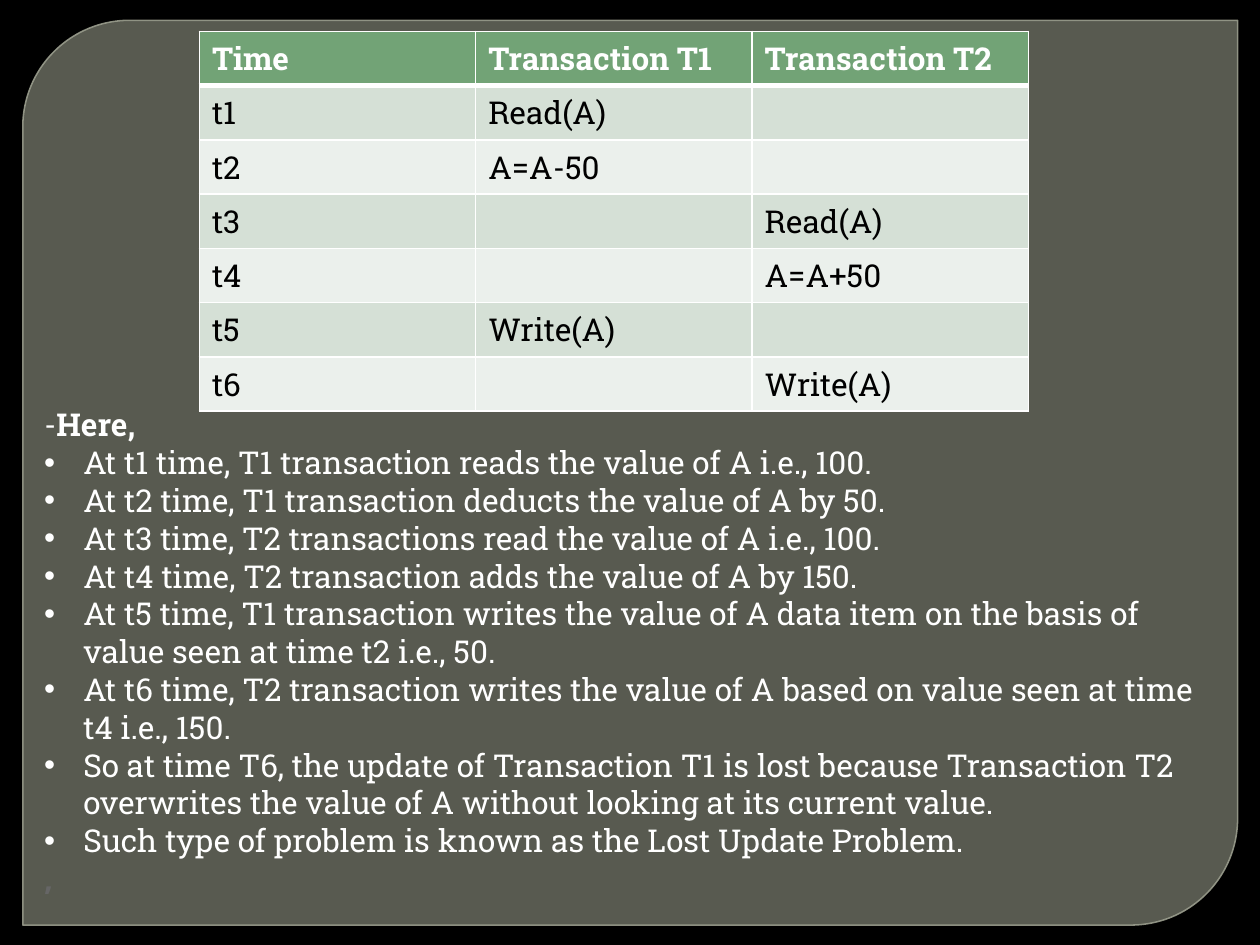
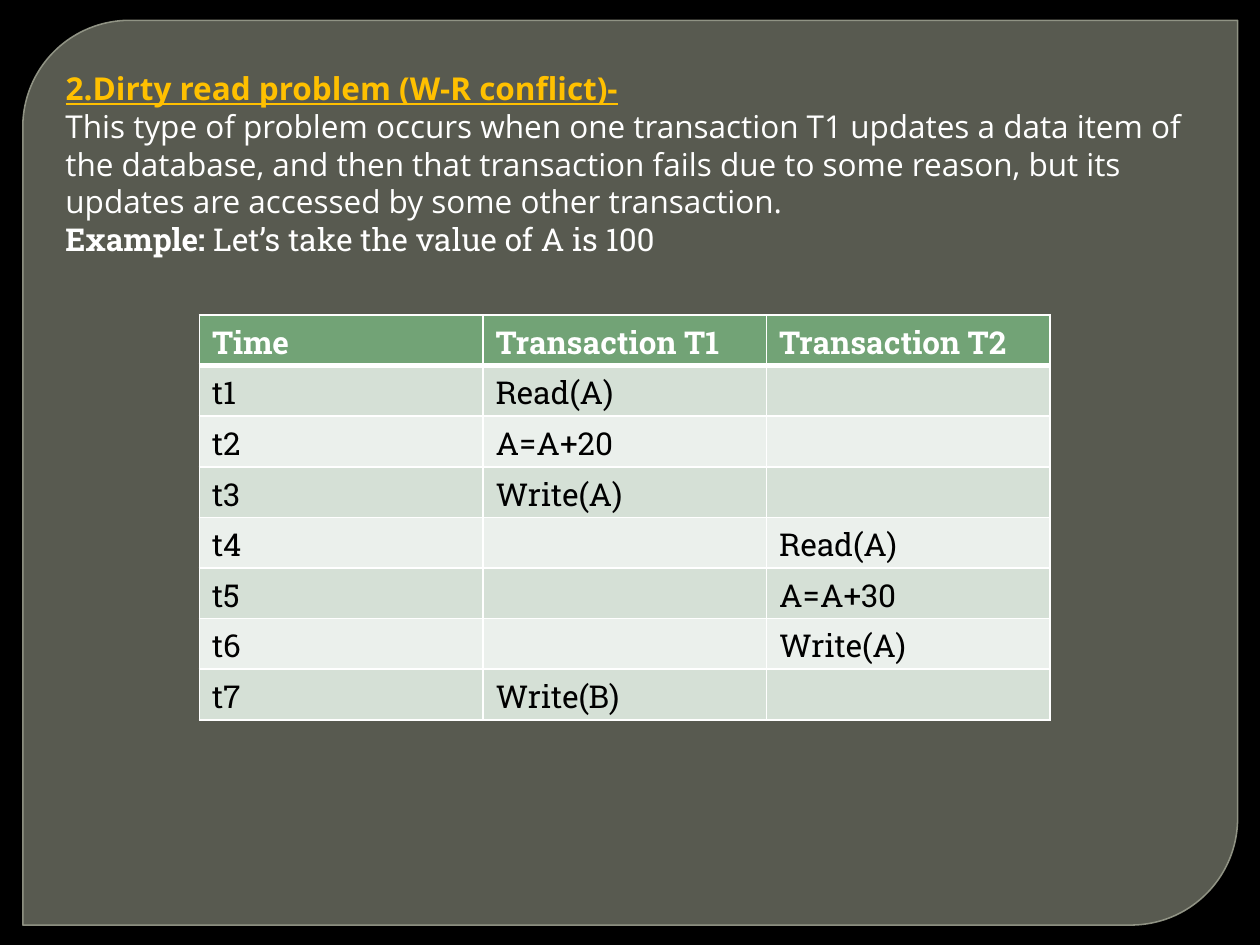
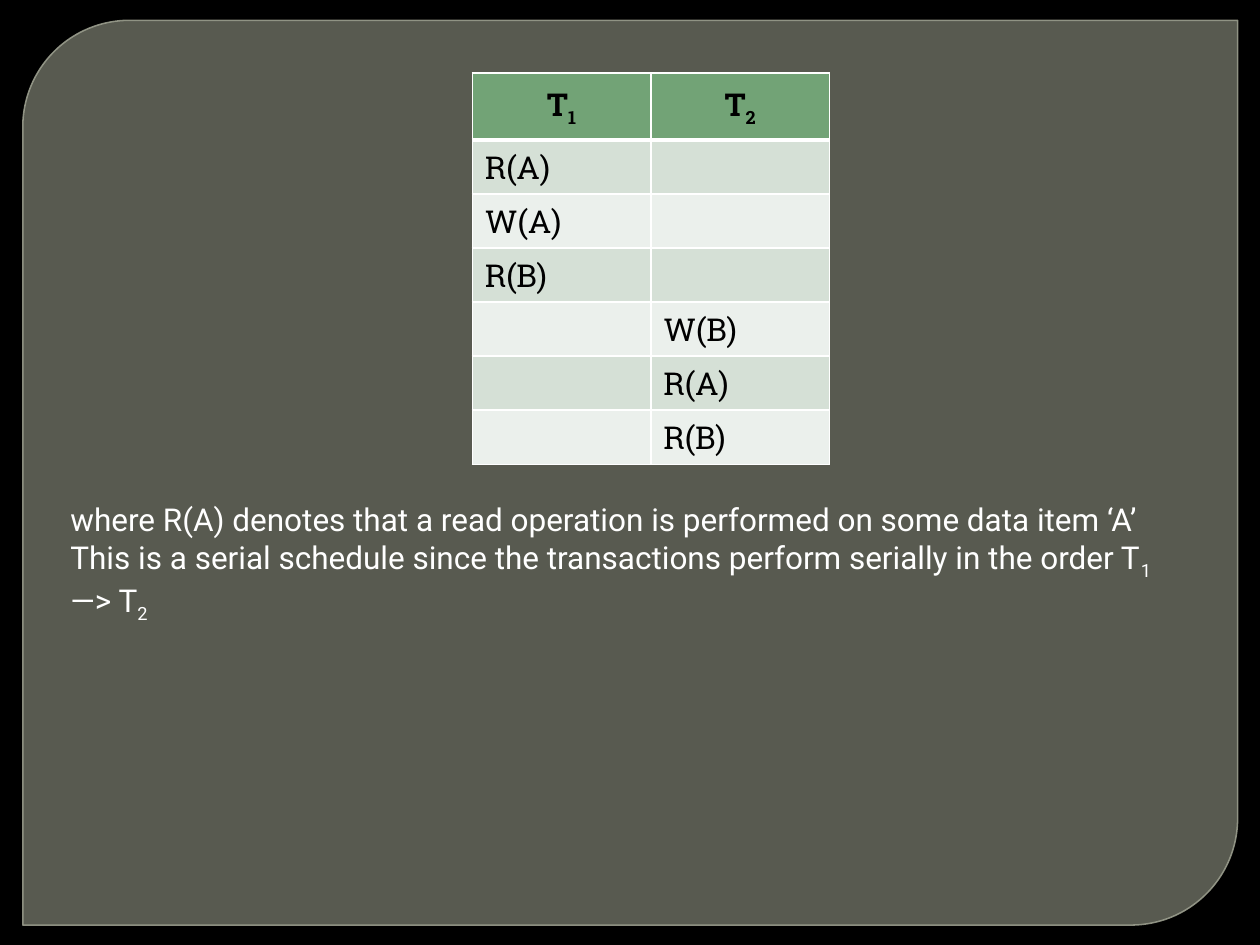
from dataclasses import dataclass

from lxml.etree import SubElement
from pptx import Presentation
from pptx.dml.color import RGBColor
from pptx.enum.shapes import MSO_SHAPE
from pptx.enum.text import MSO_ANCHOR, MSO_AUTO_SIZE, PP_ALIGN
from pptx.oxml import parse_xml
from pptx.oxml.ns import nsdecls, qn
from pptx.util import Cm, Pt


@dataclass(frozen=True)
class Theme:
    back: str = "000000"
    panel: str = "888B7B"
    edge: str = "9DA090"
    head: str = "72A376"
    bands: tuple = ("D5E0D6", "EBF0EC")
    light: str = "FFFFFF"
    dark: str = "000000"
    gold: str = "FFC000"
    gray: str = "666666"
    slab: str = "Roboto Slab"
    sans: str = "Open Sans"
    plain: str = "Roboto"
    size: float = 18
    thin: float = 1
    thick: float = 3


BREAK = object()
SUB = {"base": -25}
BOLD = {"bold": True}


class Deck:
    def __init__(self, theme):
        self.theme = theme
        self.show = Presentation()
        self.show.slide_width, self.show.slide_height = Cm(25.4), Cm(19.05)
        self.slide = None
        fill = self.show.slide_master.background.fill
        fill.solid()
        fill.fore_color.rgb = RGBColor.from_string(theme.back)

    def page(self, titled=False):
        layout = self.show.slide_layouts[5 if titled else 6]
        self.slide = self.show.slides.add_slide(layout)

    def panel(self):
        theme = self.theme
        panel = self.slide.shapes.add_shape(
            MSO_SHAPE.ROUND_2_DIAG_RECTANGLE, Cm(0.46), Cm(0.41), Cm(24.49), Cm(18.24))
        panel.adjustments[0], panel.adjustments[1] = 0.118, 0
        panel.shadow.inherit = False
        panel.fill.solid()
        panel.line.width = Pt(0.87)
        panel.line.fill.solid()
        paints = (panel.fill, theme.panel, 65), (panel.line.fill, theme.edge, 88)
        for fill, tone, alpha in paints:
            fill.fore_color.rgb = RGBColor.from_string(tone)
        for tint, (_, _, alpha) in zip(panel.element.spPr.iter(qn("a:srgbClr")), paints):
            SubElement(tint, qn("a:alpha"), val=str(alpha * 1000))
        self.slide.slide_layout.slide_master.shapes.element.insert(2, panel.element)

    def run(self, para, text, font=None, tone=None, bold=False, under=False, base=0):
        if text is BREAK:
            para.add_line_break()
            return
        run = para.add_run()
        run.text = text
        face = run.font
        face.name = font or self.theme.slab
        face.size = Pt(self.theme.size)
        face.color.rgb = RGBColor.from_string(tone or self.theme.light)
        face.bold, face.underline = bold, under
        if base:
            run._r.get_or_add_rPr().set("baseline", str(base * 1000))

    def fill(self, para, runs, **style):
        for text, extra in runs:
            self.run(para, text, **{**style, **extra})

    def bullet(self, para):
        props = para._p.get_or_add_pPr()
        props.set("marL", str(Cm(0.79)))
        props.set("indent", str(-Cm(0.79)))
        SubElement(props, qn("a:buFont"), typeface="Arial")
        SubElement(props, qn("a:buChar"), char="•")

    def title(self, text, left, top, width, height):
        title = self.slide.shapes.title
        title.left, title.top, title.width, title.height = map(Cm, (left, top, width, height))
        frame = title.text_frame
        frame.vertical_anchor = MSO_ANCHOR.TOP
        frame.auto_size = MSO_AUTO_SIZE.NONE
        para = frame.paragraphs[0]
        para.alignment = PP_ALIGN.LEFT
        self.run(para, text, self.theme.sans, self.theme.gold, bold=True, under=True)

    def text(self, paras, left, top, width, height, **style):
        frame = self.slide.shapes.add_textbox(*map(Cm, (left, top, width, height))).text_frame
        frame.word_wrap = True
        frame.auto_size = MSO_AUTO_SIZE.SHAPE_TO_FIT_TEXT
        for place, item in enumerate(paras):
            para = frame.add_paragraph() if place else frame.paragraphs[0]
            if isinstance(item, str):
                self.bullet(para)
                item = [(item, {})]
            self.fill(para, item, **style)

    def borders(self, cell, row):
        props = cell._tc.get_or_add_tcPr()
        thick = {0: "B", 1: "T"}.get(row)
        for place, side in enumerate("LRTB"):
            width = Pt(self.theme.thick if side == thick else self.theme.thin)
            props.insert(place, parse_xml(
                f'<a:ln{side} {nsdecls("a")} w="{width}"><a:solidFill>'
                f'<a:srgbClr val="{self.theme.light}"/></a:solidFill></a:ln{side}>'))

    def table(self, head, body, left, top, width, high, first=None, inset=None, **style):
        rows = [head] + [[[(text, {})] if text else [] for text in line] for line in body]
        count = len(head)
        first = first or high
        grid = self.slide.shapes.add_table(
            len(rows), count, Cm(left), Cm(top), Cm(width), Cm(first + high * len(body))).table
        for column in grid.columns:
            column.width = Cm(width / count)
        for row, line in enumerate(rows):
            grid.rows[row].height = Cm(high if row else first)
            look = {"tone": self.theme.dark} if row else {"bold": True, **style}
            for spot, runs in enumerate(line):
                cell = grid.cell(row, spot)
                cell.vertical_anchor = MSO_ANCHOR.MIDDLE
                cell.fill.solid()
                tone = self.theme.bands[(row - 1) % 2] if row else self.theme.head
                cell.fill.fore_color.rgb = RGBColor.from_string(tone)
                self.borders(cell, row)
                para = cell.text_frame.paragraphs[0]
                if inset and not row:
                    cell.margin_left = cell.margin_right = Cm(inset)
                    cell.margin_top = cell.margin_bottom = Cm(inset)
                    para.alignment = PP_ALIGN.CENTER
                self.fill(para, runs, **look)


def times(steps):
    return [(f"t{step}", *pair) for step, pair in enumerate(steps, 1)]


def main():
    theme = Theme()
    deck = Deck(theme)
    heads = [[(text, {})] for text in ("Time", "Transaction T1", "Transaction T2")]

    deck.page()
    deck.panel()
    deck.table(heads, times([
        ("Read(A)", ""),
        ("A=A-50", ""),
        ("", "Read(A)"),
        ("", "A=A+50"),
        ("Write(A)", ""),
        ("", "Write(A)"),
    ]), 4.02, 0.63, 16.71, 1.09)
    deck.text([
        [("-", {}), ("Here,", BOLD)],
        "At t1 time, T1 transaction reads the value of A i.e., 100.",
        "At t2 time, T1 transaction deducts the value of A by 50.",
        "At t3 time, T2 transactions read the value of A i.e., 100.",
        "At t4 time, T2 transaction adds the value of A by 150.",
        "At t5 time, T1 transaction writes the value of A data item on the basis of "
        "value seen at time t2 i.e., 50.",
        "At t6 time, T2 transaction writes the value of A based on value seen at time "
        "t4 i.e., 150.",
        "So at time T6, the update of Transaction T1 is lost because Transaction T2 "
        "overwrites the value of A without looking at its current value.",
        "Such type of problem is known as the Lost Update Problem.",
        [(",", {"font": theme.sans, "tone": theme.gray, "bold": True})],
    ], 0.64, 8.05, 23.93, 10.26)

    deck.page(titled=True)
    deck.title("2.Dirty read problem (W-R conflict)-", 1.07, 1.27, 23.06, 1.02)
    deck.text([
        [("This type of problem occurs when one transaction T1 updates a data item of "
          "the database, and then that transaction fails due to some reason, but its "
          "updates are accessed by some other transaction.", {"font": theme.sans})],
        [("Example:", BOLD), (" Let’s take the value of A is 100", {})],
    ], 1.07, 2.03, 23.06, 3.3)
    deck.table(heads, times([
        ("Read(A)", ""),
        ("A=A+20", ""),
        ("Write(A)", ""),
        ("", "Read(A)"),
        ("", "A=A+30"),
        ("", "Write(A)"),
        ("Write(B)", ""),
    ]), 4.02, 6.35, 17.15, 1.02)

    deck.page()
    deck.table([[("T", {}), (mark, SUB)] for mark in "12"], [
        ("R(A)", ""),
        ("W(A)", ""),
        ("R(B)", ""),
        ("", "W(B)"),
        ("", "R(A)"),
        ("", "R(B)"),
    ], 9.52, 1.47, 7.2, 1.09, first=1.35, inset=0.2, tone=theme.dark)
    deck.text([[
        ("where R(A) denotes that a read operation is performed on some data item ‘A’", {}),
        (BREAK, {}),
        ("This is a serial schedule since the transactions perform serially in the order T", {}),
        ("1", SUB),
        (" —> T", {}),
        ("2", SUB),
    ]], 1.17, 9.96, 22.43, 3.84, font=theme.plain)

    deck.show.save("out.pptx")


if __name__ == "__main__":
    main()
